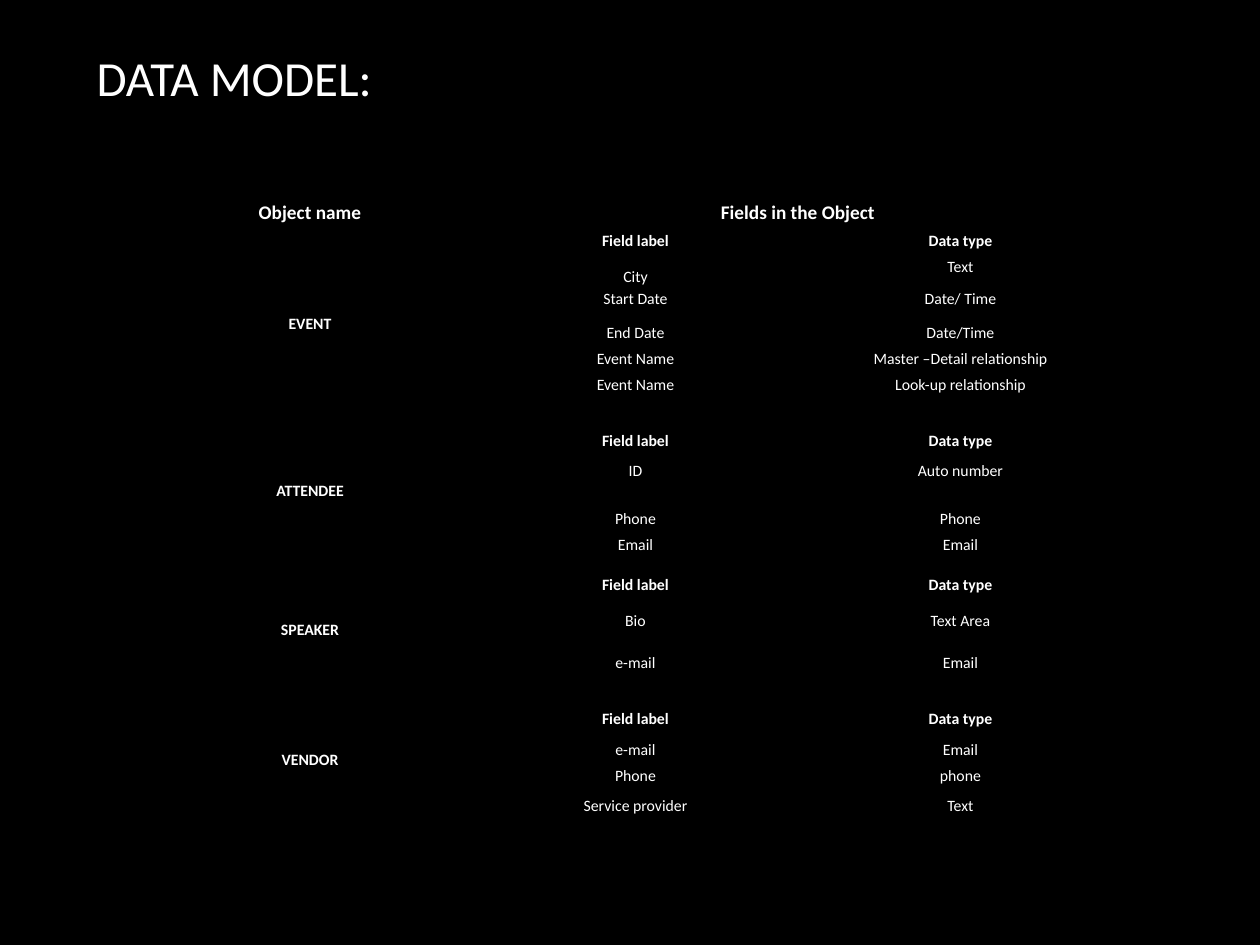
from dataclasses import dataclass

from lxml import etree
from pptx import Presentation
from pptx.dml.color import RGBColor
from pptx.enum.text import MSO_ANCHOR, PP_ALIGN
from pptx.oxml.ns import qn
from pptx.util import Pt

TOP, MIDDLE, BOTTOM = MSO_ANCHOR.TOP, MSO_ANCHOR.MIDDLE, MSO_ANCHOR.BOTTOM
LEFT, CENTER = PP_ALIGN.LEFT, PP_ALIGN.CENTER
PX = 914400 // 126


@dataclass(frozen=True)
class Theme:
    back: str = "000000"
    ink: str = "FFFFFF"
    font: str = "Calibri"
    title: int = 28
    head: int = 11
    body: int = 9
    line: int = 1
    pad: int = 8


THEME = Theme()
WIDTHS = [326, 325, 325]
HEAD_ROW = 78
# Each object: name, height of its label row, fields as (label, type, height)
OBJECTS = [
    ("EVENT", 30, [
        ("City", "Text", 32),
        ("Start Date", "Date/ Time", 34),
        ("End Date", "Date/Time", 26),
        ("Event Name", "Master –Detail relationship", 26),
        ("Event Name", "Look-up relationship", 47),
    ]),
    ("ATTENDEE", 39, [
        ("ID", "Auto number", 48),
        ("Phone", "Phone", 26),
        ("Email", "Email", 26),
    ]),
    ("SPEAKER", 50, [
        ("Bio", "Text Area", 42),
        ("e-mail", "Email", 48),
    ]),
    ("VENDOR", 39, [
        ("e-mail", "Email", 26),
        ("Phone", "phone", 30),
        ("Service provider", "Text", 26),
    ]),
]


def px(count):
    return count * PX


def style(para, size, bold, align):
    para.alignment = align
    for run in para.runs:
        run.font.name = THEME.font
        run.font.size = Pt(size)
        run.font.bold = bold
        run.font.color.rgb = RGBColor.from_string(THEME.ink)


def add_title(slide, text):
    title = slide.shapes.title
    title.left, title.top, title.width, title.height = map(px, (84, 38, 1113, 78))
    frame = title.text_frame
    frame.text = text
    frame.vertical_anchor = MIDDLE
    style(frame.paragraphs[0], THEME.title, False, LEFT)


def clear(cell):
    """Leave the cell unfilled, with a thin line on every side."""
    props = cell._tc.get_or_add_tcPr()
    for side in ("a:lnL", "a:lnR", "a:lnT", "a:lnB"):
        line = etree.SubElement(props, qn(side), w=str(Pt(THEME.line)))
        fill = etree.SubElement(line, qn("a:solidFill"))
        etree.SubElement(fill, qn("a:srgbClr"), val=THEME.back)
    cell.fill.background()
    cell.margin_left = cell.margin_right = px(THEME.pad)
    cell.margin_top = cell.margin_bottom = 0


def write(cell, text, anchor=TOP, bold=False, size=THEME.body):
    cell.vertical_anchor = anchor
    cell.text_frame.text = text
    para = cell.text_frame.paragraphs[0]
    para.line_spacing = 1.15
    para.space_after = Pt(10)
    style(para, size, bold, CENTER)


def add_group(table, top, name, height, fields):
    """Write one object and its fields; return the next free row."""
    last = top + len(fields)
    table.cell(top, 0).merge(table.cell(last, 0))
    for col, text in enumerate((name, "Field label", "Data type")):
        write(table.cell(top, col), text, MIDDLE, True)
    table.rows[top].height = px(height)
    for row, (label, kind, tall) in enumerate(fields, top + 1):
        table.rows[row].height = px(tall)
        write(table.cell(row, 1), label, BOTTOM if label == "City" else TOP)
        write(table.cell(row, 2), kind)
    return last + 1


def add_model(slide):
    count = 1 + sum(1 + len(fields) for _, _, fields in OBJECTS)
    table = slide.shapes.add_table(
        count, len(WIDTHS), px(147), px(147), px(sum(WIDTHS)), px(672)
    ).table
    table.first_row = table.horz_banding = False
    for col, width in zip(table.columns, WIDTHS):
        col.width = px(width)
    for cell in table.iter_cells():
        clear(cell)
    table.rows[0].height = px(HEAD_ROW)
    table.cell(0, 1).merge(table.cell(0, 2))
    for col, text in enumerate(("Object name", "Fields in the Object")):
        write(table.cell(0, col), text, BOTTOM, True, THEME.head)
    row = 1
    for group in OBJECTS:
        row = add_group(table, row, *group)


def main():
    deck = Presentation()
    deck.slide_width, deck.slide_height = px(1260), px(945)
    slide = deck.slides.add_slide(deck.slide_layouts[5])
    fill = slide.background.fill
    fill.solid()
    fill.fore_color.rgb = RGBColor.from_string(THEME.back)
    add_title(slide, "DATA MODEL:")
    add_model(slide)
    deck.save("out.pptx")


if __name__ == "__main__":
    main()
